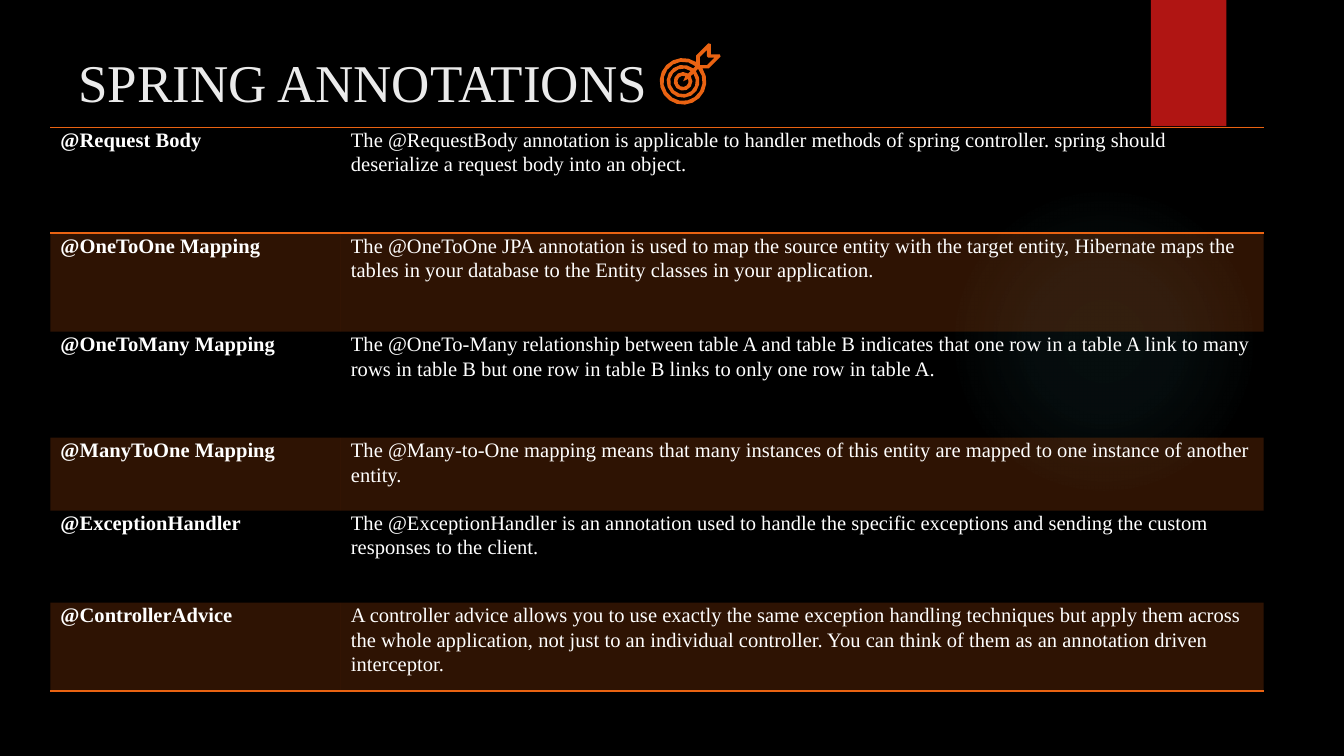
from dataclasses import dataclass
from math import asin, cos, pi, radians, sin

from lxml import etree
from pptx import Presentation
from pptx.dml.color import RGBColor
from pptx.enum.shapes import MSO_SHAPE
from pptx.enum.text import MSO_ANCHOR, MSO_AUTO_SIZE, PP_ALIGN
from pptx.oxml import parse_xml
from pptx.oxml.ns import nsdecls, qn
from pptx.util import Pt

RECT, OVAL = MSO_SHAPE.RECTANGLE, MSO_SHAPE.OVAL
TOP, MIDDLE = MSO_ANCHOR.TOP, MSO_ANCHOR.MIDDLE
LEFT, NO_FIT = PP_ALIGN.LEFT, MSO_AUTO_SIZE.NONE
NO_STYLE = "{2D5ABB26-0587-4C30-8999-92F81FD0307C}"

ROWS = [
    ("@Request Body", "The @RequestBody annotation is applicable to handler methods of spring controller. spring should deserialize a request body into an object.", 56.8),
    ("@OneToOne Mapping", "The @OneToOne JPA annotation is used to map the source entity with the target entity, Hibernate maps the tables in your database to the Entity classes in your application.", 52.7),
    ("@OneToMany Mapping", "The @OneTo-Many relationship between table A and table B indicates that one row in a table A link to many rows in table B but one row in table B links to only one row in table A.", 56.8),
    ("@ManyToOne Mapping", "The @Many-to-One mapping means that many instances of this entity are mapped to one instance of another entity.", 39.1),
    ("@ExceptionHandler", "The @ExceptionHandler is an annotation used to handle the specific exceptions and sending the custom responses to the client.", 49.3),
    ("@ControllerAdvice", "A controller advice allows you to use exactly the same exception handling techniques but apply them across the whole application, not just to an individual controller. You can think of them as an annotation driven interceptor.", 47.4),
]
FEATHER = [(376.6, 36.7), (379.7, 36.7), (386, 30.4), (385.6, 29.1), (380.8, 29.1),
           (380.8, 23.6), (379.5, 23.2), (372.9, 29.8), (372.9, 33.1)]
FEATHER_HOLE = [(378.7, 26.8), (378.7, 30.1), (379.4, 30.9), (382.8, 30.9),
                (378.8, 34.9), (374.9, 34.9), (374.9, 30.6)]


@dataclass
class Theme:
    """Colours, font and type sizes of the slide."""
    back: str = "000000"
    title: str = "EBEBEB"
    text: str = "FFFFFF"
    accent: str = "EA6312"
    ribbon: str = "B01513"
    glow: str = "50B9C1"
    font: str = "Times New Roman"
    title_size: float = 28.4
    body_size: float = 11


def rgb(color):
    """Turn a hex string into a colour."""
    return RGBColor.from_string(color)


def write(tf, text, *, font, size, color, bold=False, spacing=1.0, after=0):
    """Write one formatted paragraph into a text frame."""
    p = tf.paragraphs[0]
    p.alignment, p.line_spacing = LEFT, spacing
    p.space_before, p.space_after = Pt(0), Pt(after)
    r = p.add_run()
    r.text = text
    r.font.name, r.font.size, r.font.bold = font, Pt(size), bold
    r.font.color.rgb = rgb(color)


def arc(cx, cy, radius, gap):
    """Return points round a circle, open by gap on each side of its upper right diagonal."""
    steps = round(6 + radius * 0.9)
    start = radians(-45) + asin(gap / radius)
    sweep = 2 * (pi - asin(gap / radius))
    angles = [start + sweep * i / steps for i in range(steps + 1)]
    return [(cx + radius * cos(a), cy + radius * sin(a)) for a in angles]


class Deck:
    """Holds the theme and the current slide."""

    def __init__(self, s, theme):
        self.s, self.theme = s, theme
        s.background.fill.solid()
        s.background.fill.fore_color.rgb = rgb(theme.back)

    def shape(self, kind, x, y, w, h, color):
        """Add a plain filled shape."""
        sp = self.s.shapes.add_shape(kind, Pt(x), Pt(y), Pt(w), Pt(h))
        return self.paint(sp, color)

    def paint(self, sp, color):
        """Give a shape a flat fill without line or shadow."""
        sp.shadow.inherit = False
        sp.fill.solid()
        sp.fill.fore_color.rgb = rgb(color)
        sp.line.fill.background()
        return sp

    def glow(self, x, y, size):
        """Add a circle that fades out towards its edge."""
        sp = self.shape(OVAL, x, y, size, size, self.theme.glow)
        stops = "".join(
            f'<a:gs pos="{pos}000"><a:srgbClr val="{self.theme.glow}">'
            f'<a:alpha val="{alpha}000"/></a:srgbClr></a:gs>'
            for pos, alpha in ((0, 7), (36, 6), (69, 0)))
        solid = sp.element.spPr.find(qn("a:solidFill"))
        sp.element.spPr.replace(solid, parse_xml(
            f'<a:gradFill {nsdecls("a")}><a:gsLst>{stops}</a:gsLst><a:path path="circle">'
            '<a:fillToRect l="50000" t="50000" r="50000" b="50000"/></a:path></a:gradFill>'))

    def title(self, text, x, y, w, h):
        """Place and fill the title placeholder."""
        sp, t = self.s.shapes.title, self.theme
        sp.left, sp.top, sp.width, sp.height = Pt(x), Pt(y), Pt(w), Pt(h)
        tf = sp.text_frame
        tf.word_wrap, tf.auto_size, tf.vertical_anchor = True, NO_FIT, MIDDLE
        tf.margin_top, tf.margin_bottom = Pt(3.6), Pt(8)
        write(tf, text, font=t.font, size=t.title_size, color=t.title)

    def outline(self, contours, color):
        """Add one freeform made of closed contours."""
        first, *rest = [[(Pt(x), Pt(y)) for x, y in c] for c in contours]
        fb = self.s.shapes.build_freeform(*first[0])
        fb.add_line_segments(first[1:], close=True)
        for contour in rest:
            fb.move_to(*contour[0])
            fb.add_line_segments(contour[1:], close=True)
        self.paint(fb.convert_to_shape(), color)

    def target(self, cx, cy):
        """Draw the target with an arrow in its centre."""
        rings = [arc(cx, cy, outer, 1) + arc(cx, cy, inner, 1)[::-1]
                 for outer, inner in ((10.5, 8.8), (6.9, 5))]
        bullseye = arc(cx, cy, 3, 1) + [(cx, cy)]
        rim = arc(cx, cy, 12.5, 2.5) + FEATHER[::-1]
        self.outline([rim, FEATHER_HOLE, *rings, bullseye], self.theme.accent)

    def rule(self, cell, side):
        """Draw a border on one side of a cell."""
        ln = etree.Element(qn(f"a:{side}"), w=str(Pt(1)))
        fill = etree.SubElement(ln, qn("a:solidFill"))
        etree.SubElement(fill, qn("a:srgbClr"), val=self.theme.accent)
        cell._tc.get_or_add_tcPr().insert(0, ln)

    def tint(self, cell):
        """Fill a cell with the accent colour at 20 per cent."""
        cell.fill.solid()
        cell.fill.fore_color.rgb = rgb(self.theme.accent)
        clr = cell._tc.tcPr.find(".//" + qn("a:srgbClr"))
        etree.SubElement(clr, qn("a:alpha"), val="20000")

    def table(self, rows, x, y, widths):
        """Add a banded table of terms and their meanings."""
        t, heights = self.theme, [row[2] for row in rows]
        frame = self.s.shapes.add_table(len(rows), len(widths), Pt(x), Pt(y),
                                        Pt(sum(widths)), Pt(sum(heights)))
        frame._element.find(".//" + qn("a:tableStyleId")).text = NO_STYLE
        tbl = frame.table
        tbl.first_row = tbl.horz_banding = False
        for col, width in zip(tbl.columns, widths):
            col.width = Pt(width)
        for i, (term, meaning, height) in enumerate(rows):
            tbl.rows[i].height = Pt(height)
            for j, text in enumerate((term, meaning)):
                cell = tbl.cell(i, j)
                cell.margin_left = cell.margin_right = Pt(5.4)
                cell.margin_top = cell.margin_bottom = 0
                cell.vertical_anchor = TOP
                write(cell.text_frame, text, font=t.font, size=t.body_size, color=t.text,
                      bold=j == 0, spacing=1.07, after=8)
                if i % 2:
                    self.tint(cell)
                else:
                    cell.fill.background()
                if i in (0, len(rows) - 1):
                    self.rule(cell, "lnB")
                if i == 0:
                    self.rule(cell, "lnT")


def main():
    """Build and save the slide."""
    prs = Presentation()
    prs.slide_width, prs.slide_height = Pt(720), Pt(405)
    theme = Theme()
    deck = Deck(prs.slides.add_slide(prs.slide_layouts[5]), theme)
    deck.glow(508.3, 99.4, 166.3)
    deck.shape(RECT, 616.5, 0, 40.5, 67.7, theme.ribbon)
    deck.title("SPRING ANNOTATIONS", 34.6, 23, 607, 45.4)
    deck.table(ROWS, 27, 68.2, (155.6, 494.4))
    deck.target(365.9, 43.6)
    prs.save("out.pptx")


if __name__ == "__main__":
    main()
